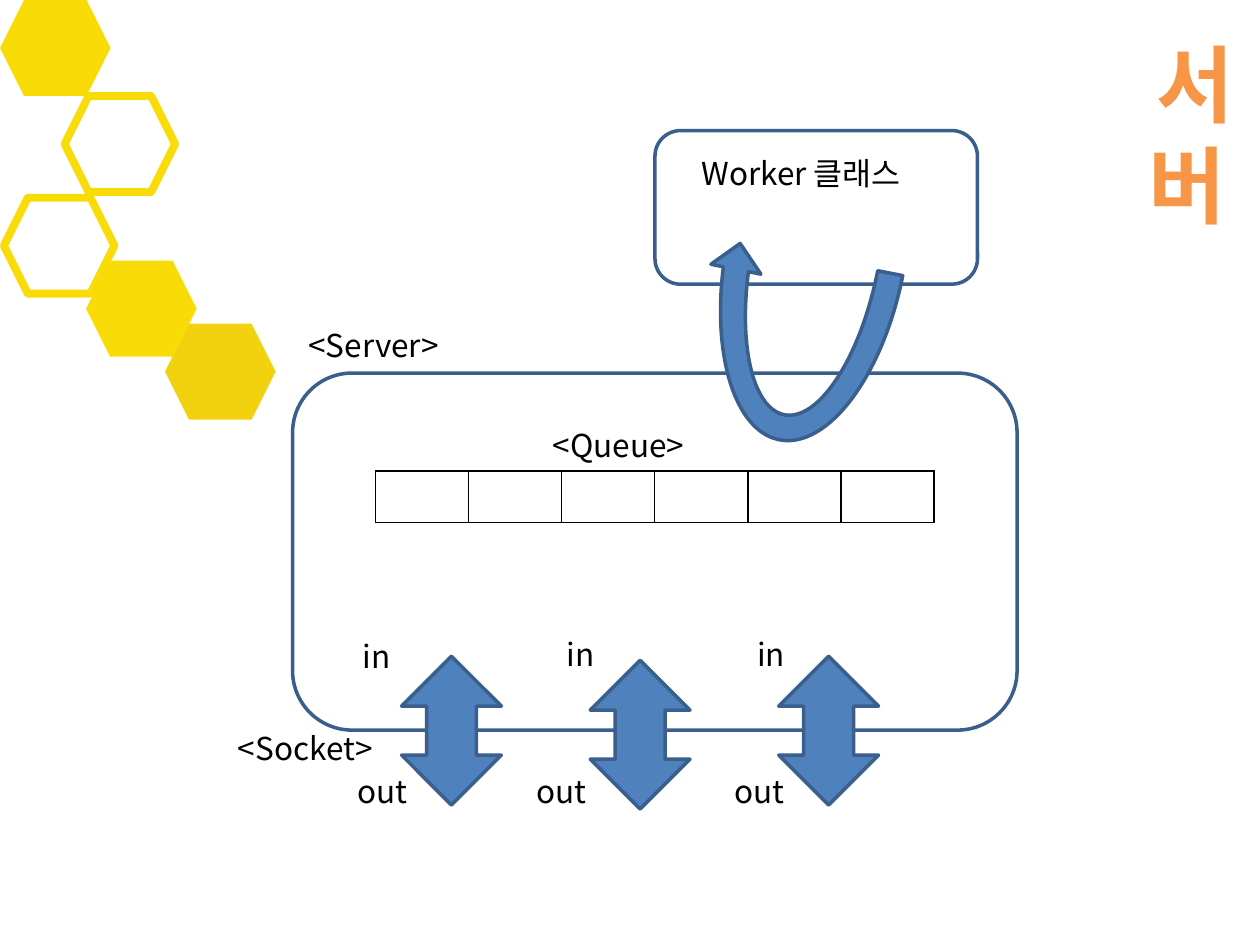
from dataclasses import dataclass
from typing import Any, Optional

from pptx import Presentation
from pptx.dml.color import RGBColor
from pptx.enum.shapes import MSO_SHAPE
from pptx.enum.text import MSO_ANCHOR, MSO_AUTO_SIZE, PP_ALIGN
from pptx.oxml import parse_xml
from pptx.oxml.ns import nsdecls
from pptx.util import Pt


@dataclass(frozen=True)
class Theme:
    font: str = "Noto Sans CJK KR"
    title_size: int = 48
    label_size: int = 18
    title: str = "F79646"
    text: str = "000000"
    blue: str = "4F81BD"
    navy: str = "3A5F8C"
    yellow: str = "F9DC07"
    gold: str = "F2D10E"
    hexagon_line: float = 4.5
    outline: float = 2
    cell_line: float = 1


@dataclass(frozen=True)
class Area:
    left: float
    top: float
    width: float
    height: float

    def lengths(self) -> list[Pt]:
        return [Pt(value) for value in (self.left, self.top, self.width, self.height)]


@dataclass(frozen=True)
class Figure:
    kind: MSO_SHAPE
    area: Area
    fill: Optional[str] = None
    line: Optional[str] = None
    weight: float = 0
    rotation: float = 0


@dataclass(frozen=True)
class Label:
    words: str
    left: float
    top: float
    width: float


THEME = Theme()
LABEL_HEIGHT = 29
HEXAGON_SIZE = (63.2, 54.8)
ARROW_SIZE = (57, 85)
OUTLINE = {"line": THEME.navy, "weight": THEME.outline}
SOLID = {"fill": THEME.blue, **OUTLINE}
HOLLOW_HEXAGON = {"line": THEME.yellow, "weight": THEME.hexagon_line}

HEXAGONS = [
    Figure(MSO_SHAPE.HEXAGON, Area(left, top, *HEXAGON_SIZE), **style)
    for left, top, style in [
        (94.3, 185, {"fill": THEME.gold}),
        (2.2, 113, HOLLOW_HEXAGON),
        (49.2, 149, {"fill": THEME.yellow}),
        (36.9, 54.9, HOLLOW_HEXAGON),
        (0, 0, {"fill": THEME.yellow}),
    ]
]
SERVER = Figure(MSO_SHAPE.ROUNDED_RECTANGLE, Area(167.2, 213.2, 414, 204), **OUTLINE)
SOCKETS = [
    Figure(MSO_SHAPE.UP_DOWN_ARROW, Area(left, top, *ARROW_SIZE), **SOLID)
    for left, top in [(229.5, 375), (337.3, 377.3), (445, 375)]
]
WORKER = Figure(MSO_SHAPE.ROUNDED_RECTANGLE, Area(374.3, 74.6, 184.3, 87.8), **OUTLINE)
LOOP = Figure(MSO_SHAPE.CIRCULAR_ARROW, Area(407.5, 34.6, 116.6, 226), rotation=191.2, **SOLID)
QUEUE = Area(214.6, 269, 319.2, 29.5)
QUEUE_CELLS = 6
LABELS = [
    Label("<Queue>", 308.9, 239.8, 130.3),
    Label("in", 200.2, 360.7, 32.4),
    Label("out", 197.3, 437.8, 49.7),
    Label("in", 316.8, 359.3, 35.3),
    Label("in", 425.5, 359.3, 35.3),
    Label("out", 299.5, 437.8, 49.7),
    Label("out", 412.6, 437.8, 49.7),
    Label("<Socket>", 128.9, 413.3, 99.4),
    Label("Worker 클래스", 393.8, 84.2, 153.4),
    Label("<Server>", 169.2, 182.9, 90.7),
]


def apply(target: Any, values: dict[str, Any]) -> None:
    for name, value in values.items():
        setattr(target, name, value)


def write(box: Any, words: str, size: float, color: str, bold: bool = False) -> Any:
    para = box.text_frame.paragraphs[0]
    span = para.add_run()
    span.text = words
    apply(span.font, {"name": THEME.font, "size": Pt(size), "bold": bold})
    span.font.color.rgb = RGBColor.from_string(color)
    span.font._element.append(
        parse_xml(f'<a:ea {nsdecls("a")} typeface="{THEME.font}"/>')
    )
    return para


def draw_title(page: Any) -> None:
    box = page.shapes.title
    area = Area(612, 9.4, 95.8, 65.5).lengths()
    apply(box, dict(zip(("left", "top", "width", "height"), area)))
    apply(box.text_frame, {
        "word_wrap": True,
        "auto_size": MSO_AUTO_SIZE.NONE,
        "vertical_anchor": MSO_ANCHOR.TOP,
        "margin_left": Pt(36),
        "margin_top": Pt(8.6),
    })
    para = write(box, "서버", THEME.title_size, THEME.title, bold=True)
    apply(para, {"alignment": PP_ALIGN.RIGHT, "line_spacing": Pt(58)})
    para.runs[0].font._element.set("spc", "-450")


def draw_figure(page: Any, figure: Figure) -> None:
    shape = page.shapes.add_shape(figure.kind, *figure.area.lengths())
    shape.shadow.inherit = False
    shape.rotation = figure.rotation
    for part, color in ((shape.fill, figure.fill), (shape.line.fill, figure.line)):
        if color:
            part.solid()
            part.fore_color.rgb = RGBColor.from_string(color)
        else:
            part.background()
    if figure.line:
        shape.line.width = Pt(figure.weight)


def draw_label(page: Any, label: Label) -> None:
    area = Area(label.left, label.top, label.width, LABEL_HEIGHT)
    box = page.shapes.add_textbox(*area.lengths())
    apply(box.text_frame, {"word_wrap": True, "auto_size": MSO_AUTO_SIZE.SHAPE_TO_FIT_TEXT})
    write(box, label.words, THEME.label_size, THEME.text)


def draw_queue(page: Any) -> None:
    table = page.shapes.add_table(1, QUEUE_CELLS, *QUEUE.lengths()).table
    apply(table, {"first_row": False, "horz_banding": False})
    for column in table.columns:
        column.width = Pt(QUEUE.width / QUEUE_CELLS)
    for cell in table.iter_cells():
        properties = cell._tc.get_or_add_tcPr()
        for side in ("lnL", "lnR", "lnT", "lnB"):
            properties.append(parse_xml(
                f'<a:{side} {nsdecls("a")} w="{Pt(THEME.cell_line)}"><a:solidFill>'
                f'<a:srgbClr val="{THEME.text}"/></a:solidFill></a:{side}>'
            ))
        cell.fill.background()


def main() -> None:
    deck = Presentation()
    apply(deck, {"slide_width": Pt(720), "slide_height": Pt(540)})
    page = deck.slides.add_slide(deck.slide_layouts[5])
    draw_title(page)
    for figure in [*HEXAGONS, SERVER, *SOCKETS]:
        draw_figure(page, figure)
    draw_queue(page)
    for figure in (WORKER, LOOP):
        draw_figure(page, figure)
    for label in LABELS:
        draw_label(page, label)
    deck.save("out.pptx")


if __name__ == "__main__":
    main()
